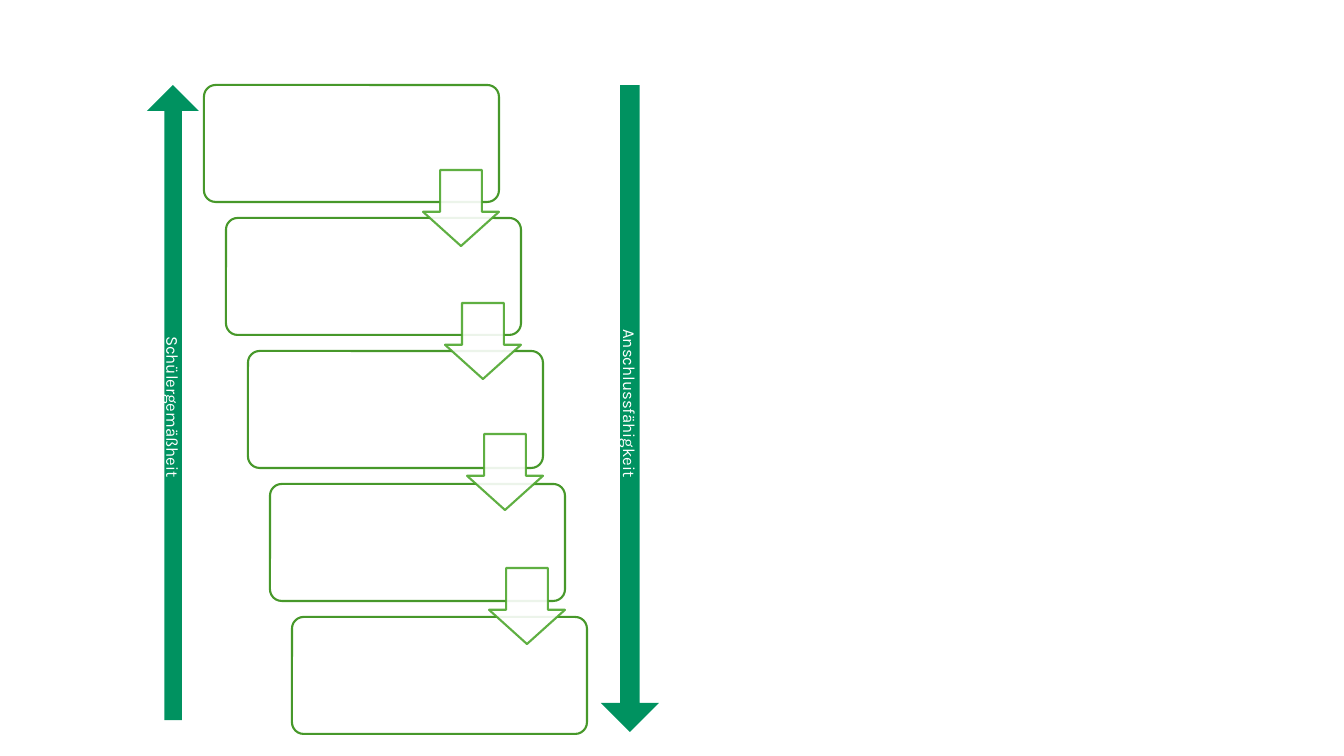
import pptx
import pptx.util
import pptx.dml.color
import pptx.enum.shapes
import pptx.enum.text
import pptx.oxml.ns
import lxml.etree

RGBColor = pptx.dml.color.RGBColor
WHITE = RGBColor(0xFF, 0xFF, 0xFF)
BOX_GREEN = RGBColor(0x47, 0x98, 0x2A)
STEP_GREEN = RGBColor(0x4E, 0xA7, 0x2E)
AXIS_GREEN = RGBColor(0x00, 0x92, 0x60)

SHAPE = pptx.enum.shapes.MSO_SHAPE
PX = 914400 / 100.8


def add_preset(shapes, preset, bounds, adjustments, fill, line=None):
    """Add a shadowless filled shape with bounds in px; no line colour means no outline."""
    shape = shapes.add_shape(preset, *[round(value * PX) for value in bounds])
    for index, value in enumerate(adjustments):
        shape.adjustments[index] = value
    shape.shadow.inherit = False
    shape.fill.solid()
    shape.fill.fore_color.rgb = fill
    if line is None:
        shape.line.fill.background()
    else:
        shape.line.color.rgb = line
        shape.line.width = pptx.util.Pt(1.5)
    return shape


deck = pptx.Presentation()
deck.slide_width = round(1344 * PX)
deck.slide_height = round(756 * PX)
page = deck.slides.add_slide(deck.slide_layouts[6])

# Staircase of five boxes, linked by four step arrows
STEP_RIGHT, STEP_DOWN = 22, 133
staircase = page.shapes.add_group_shape()
for step in range(5):
    bounds = (204 + step * STEP_RIGHT, 85 + step * STEP_DOWN, 295, 117)
    add_preset(staircase.shapes, SHAPE.ROUNDED_RECTANGLE, bounds, [0.1], WHITE, BOX_GREEN)

for step, top in enumerate((170, 303, 434, 568)):
    bounds = (423 + step * STEP_RIGHT, top, 76, 76)
    arrow = add_preset(staircase.shapes, SHAPE.DOWN_ARROW, bounds, [0.55, 0.45],
                       WHITE, STEP_GREEN)
    # 90 % opacity for both fill and outline
    for color in arrow._element.spPr.iter(pptx.oxml.ns.qn("a:srgbClr")):
        lxml.etree.SubElement(color, pptx.oxml.ns.qn("a:alpha"), val="90000")

# Long labelled arrows on either side
AXES = [
    ("Schülergemäßheit", (147, 85, 52, 635), 180, "vert270"),
    ("Anschlussfähigkeit", (601, 85, 58, 647), 0, "vert"),
]
for label, bounds, rotation, direction in AXES:
    axis = add_preset(page.shapes, SHAPE.DOWN_ARROW, bounds, [0.336, 0.5], AXIS_GREEN)
    axis.rotation = rotation
    frame = axis.text_frame
    frame.text = label
    frame.vertical_anchor = pptx.enum.text.MSO_ANCHOR.MIDDLE
    frame._txBody.bodyPr.set("vert", direction)
    para = frame.paragraphs[0]
    para.alignment = pptx.enum.text.PP_ALIGN.CENTER
    span = para.runs[0]
    span.font.name = "Karla"
    span.font.size = pptx.util.Pt(12)
    span.font.color.rgb = WHITE

deck.save("out.pptx")
